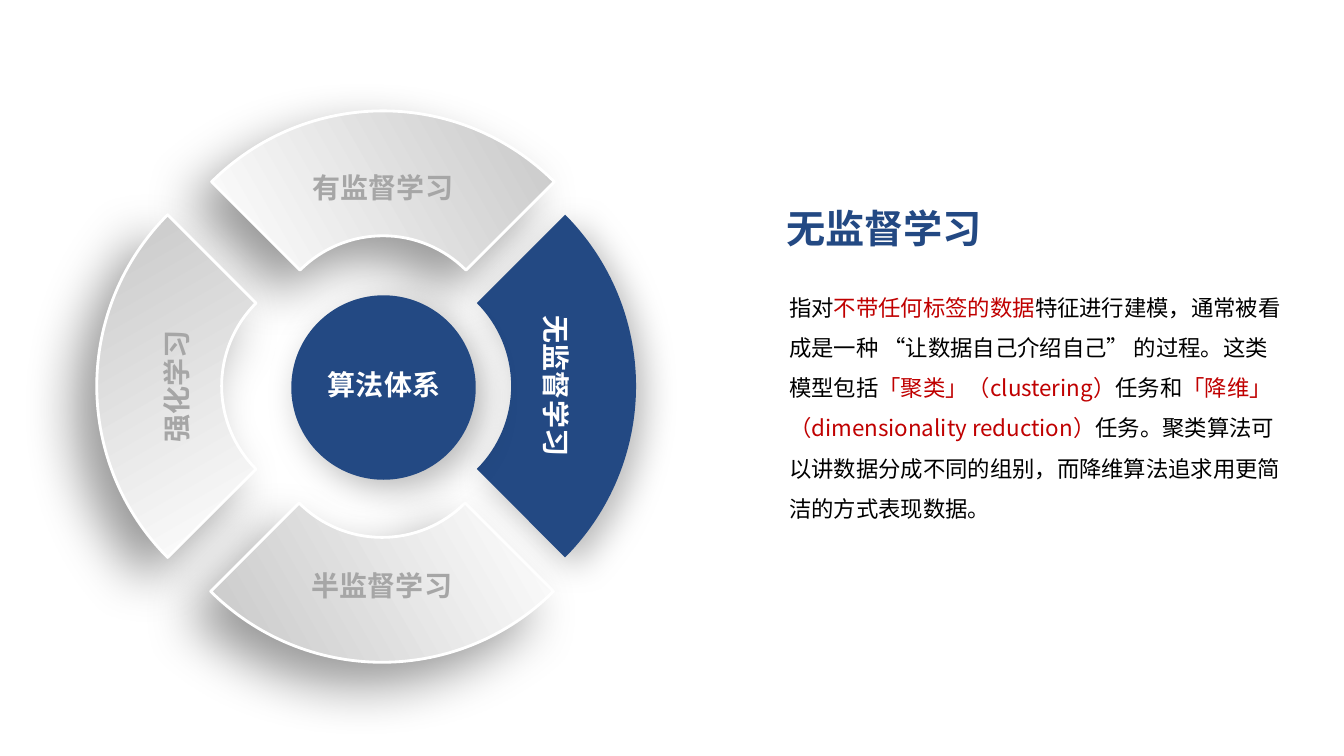
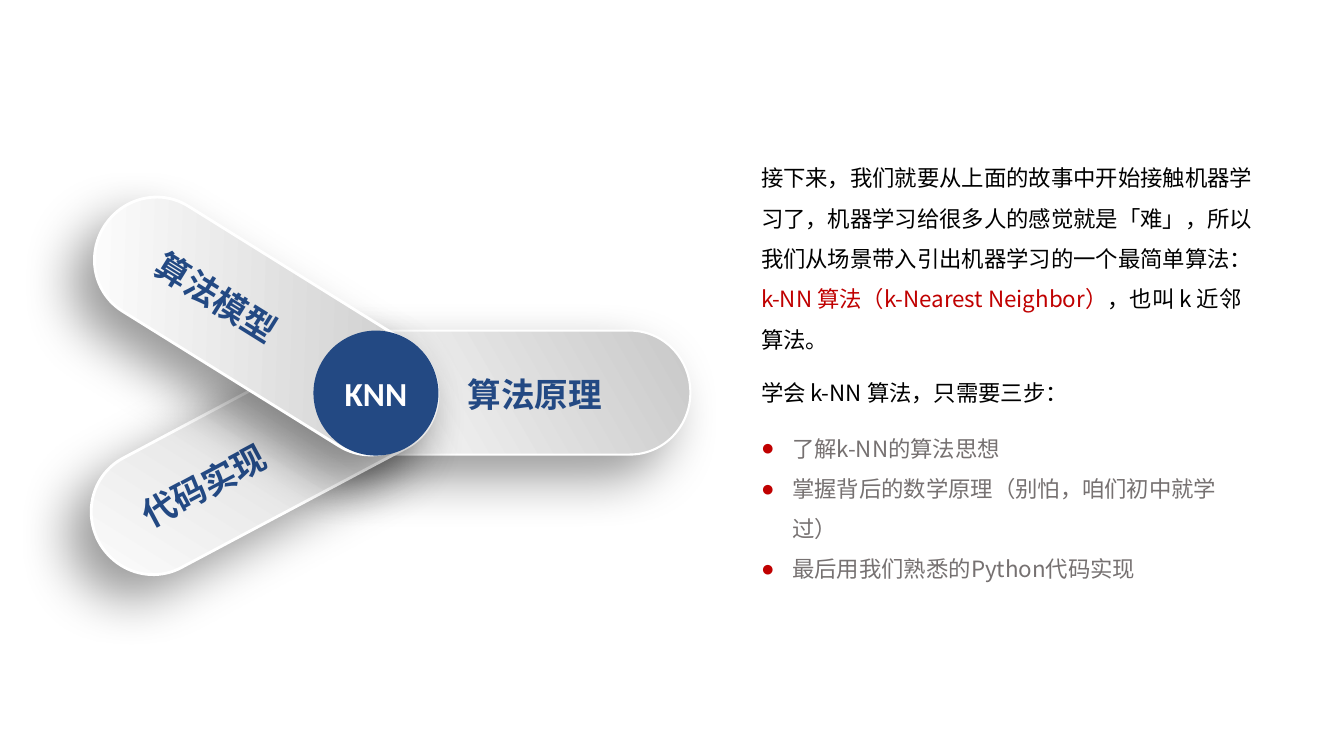
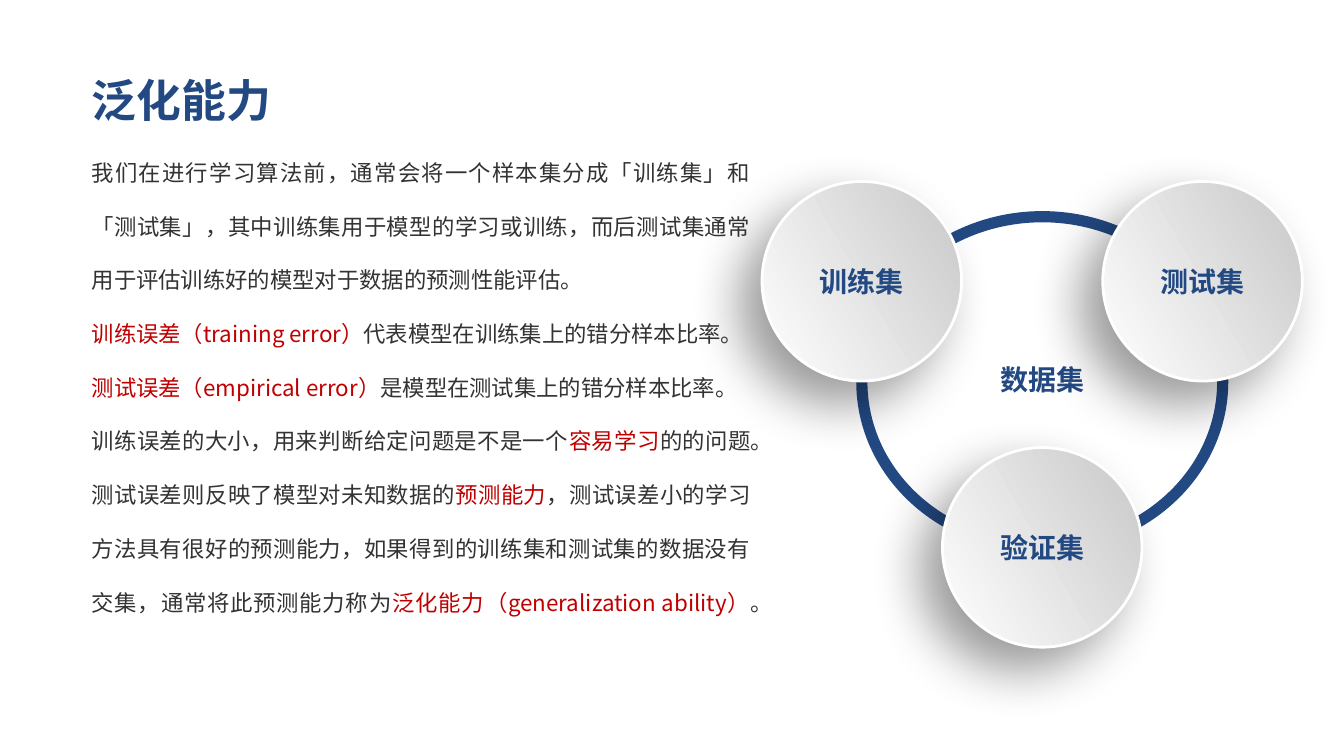
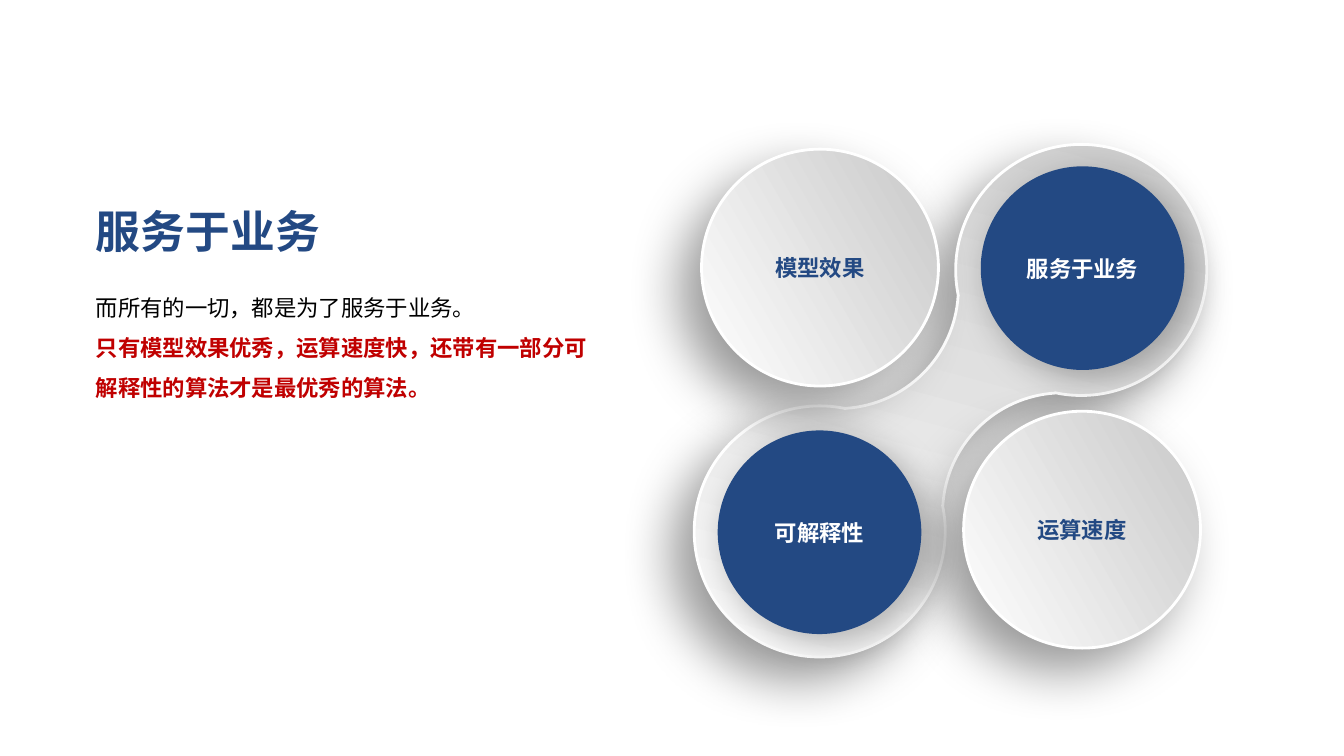
"""Build four slides on machine learning basics."""
import dataclasses
import math

import lxml.etree
import pptx
import pptx.dml.color
import pptx.enum.shapes
import pptx.enum.text
import pptx.oxml.ns
import pptx.util


@dataclasses.dataclass(frozen=True)
class Theme:
    cell: int = pptx.util.Inches(7.5) // 90
    blue: str = "234983"
    red: str = "C00000"
    black: str = "000000"
    ink: str = "333333"
    gray: str = "767171"
    dim: str = "A6A6A6"
    white: str = "FFFFFF"
    steel: str = "C8C8C8"
    font: str = "Noto Sans CJK SC"
    latin: str = "Calibri"
    head: int = 32
    sub: int = 28
    arm: int = 24
    label: int = 20
    body: int = 16
    far: tuple = (40, 38, 22, 135)
    near: tuple = (28, 25, 9, 45)


look = Theme()
qn = pptx.oxml.ns.qn
rgb = pptx.dml.color.RGBColor.from_string
align = pptx.enum.text.PP_ALIGN
anchor = pptx.enum.text.MSO_ANCHOR
kinds = pptx.enum.shapes.MSO_SHAPE
oval = kinds.OVAL


def write(shape, text, size=look.body, color=look.blue, bold=False, font=look.font,
          side=align.LEFT, rows=1.0, wrap=True, mid=False, pad=None, dot=None, loud=False):
    frame = shape.text_frame
    frame.auto_size = pptx.enum.text.MSO_AUTO_SIZE.NONE
    frame.word_wrap = wrap
    frame.vertical_anchor = anchor.MIDDLE if mid else anchor.TOP
    if pad is not None:
        frame.margin_left = round(pad * look.cell)
    for order, line in enumerate(text.split("\n")):
        para = frame.add_paragraph() if order else frame.paragraphs[0]
        props = para._p.get_or_add_pPr()
        inset = round(3.72 * look.cell) if dot else 0
        props.set("marL", str(inset))
        props.set("indent", str(-inset))
        if dot:
            tint = lxml.etree.SubElement(props, qn("a:buClr"))
            lxml.etree.SubElement(tint, qn("a:srgbClr"), val=look.red)
            lxml.etree.SubElement(props, qn("a:buChar"), char=dot)
        else:
            lxml.etree.SubElement(props, qn("a:buNone"))
        para.alignment = side
        para.line_spacing = rows
        para.space_before = pptx.util.Pt(0)
        for turn, part in enumerate(line.split("|")):
            if part:
                hot = turn % 2 == 1
                run = para.add_run()
                run.text = part
                run.font.size = pptx.util.Pt(size)
                run.font.bold = bold or (hot and loud)
                run.font.color.rgb = rgb(look.red if hot else color)
                run.font.name = font
                lxml.etree.SubElement(run._r.get_or_add_rPr(), qn("a:ea"), typeface=font)


def draw(page, kind, box, fill="pale", edge=None, shade=None, turn=0):
    left, top, width, height = [round(n * look.cell) for n in box]
    if isinstance(kind, list):
        dots = [dot for group in kind for dot in group]
        pen = page.shapes.build_freeform(*dots[0], scale=1.0)
        pen.add_line_segments(dots[1:], close=True)
        shape = pen.convert_to_shape()
        shape.left, shape.top, shape.width, shape.height = left, top, width, height
        lines = iter(shape._element.findall(".//" + qn("a:lnTo")))
        for group in kind[1:]:
            legs = [next(lines) for dot in group]
            if len(legs) == 3:
                curve = lxml.etree.Element(qn("a:cubicBezTo"))
                legs[0].addprevious(curve)
                for leg in legs:
                    curve.append(leg[0])
                    leg.getparent().remove(leg)
    else:
        shape = page.shapes.add_shape(kind, left, top, width, height)
    shape.rotation = turn
    shape.shadow.inherit = False
    if fill == "pale":
        shape.fill.gradient()
        shape.fill.gradient_angle = 30
        for stop, tone in zip(shape.fill.gradient_stops, (look.white, look.steel)):
            stop.color.rgb = rgb(tone)
        edge, shade = edge or (look.white, 2), look.far
    elif fill:
        shape.fill.solid()
        shape.fill.fore_color.rgb = rgb(fill)
    else:
        shape.fill.background()
    if edge:
        shape.line.color.rgb = rgb(edge[0])
        shape.line.width = pptx.util.Pt(edge[1])
    else:
        shape.line.fill.background()
    if shade:
        alpha, blur, dist, way = shade
        glow = lxml.etree.SubElement(
            shape._element.spPr.find(qn("a:effectLst")), qn("a:outerShdw"),
            blurRad=str(pptx.util.Pt(blur)), dist=str(pptx.util.Pt(dist)),
            dir=str(way * 60000), algn="ctr", rotWithShape="0")
        tint = lxml.etree.SubElement(glow, qn("a:srgbClr"), val=look.black)
        lxml.etree.SubElement(tint, qn("a:alpha"), val=str(alpha * 1000))
    return shape


deck = pptx.Presentation()
deck.slide_width = 160 * look.cell
deck.slide_height = 90 * look.cell

texts = [
    ("无监督学习", look.sub, (92.4, 23.76, 26.04, 6.84), (92.76, 32.76, 61.2, 30.24),
     "指对|不带任何标签的数据|特征进行建模，通常被看成是一种 “让数据自己介绍自己” 的过程。这类模型包括"
     "|「聚类」（clustering）|任务和|「降维」（dimensionality reduction）|任务。"
     "聚类算法可以讲数据分成不同的组别，而降维算法追求用更简洁的方式表现数据。",
     dict(color=look.black, rows=1.5)),
    (None, look.head, None, (89.4, 17.4, 61.2, 36.72),
     "接下来，我们就要从上面的故事中开始接触机器学习了，机器学习给很多人的感觉就是「难」，"
     "所以我们从场景带入引出机器学习的一个最简单算法：\n"
     "|k-NN 算法（k-Nearest Neighbor）|，也叫 k 近邻算法。\n"
     "学会 k-NN 算法，只需要三步：",
     dict(color=look.black, rows=1.5)),
    ("泛化能力", look.head, (9.72, 8.04, 24, 7.68), (9.72, 15.12, 80.88, 59.4),
     "我们在进行学习算法前，通常会将一个样本集分成「训练集」和「测试集」，"
     "其中训练集用于模型的学习或训练，而后测试集通常用于评估训练好的模型对于数据的预测性能评估。\n"
     "|训练误差（training error）|代表模型在训练集上的错分样本比率。\n"
     "|测试误差（empirical error）|是模型在测试集上的错分样本比率。\n"
     "训练误差的大小，用来判断给定问题是不是一个|容易学习|的的问题。"
     "测试误差则反映了模型对未知数据的|预测能力|，测试误差小的学习方法具有很好的预测能力，"
     "如果得到的训练集和测试集的数据没有交集，通常将此预测能力称为"
     "|泛化能力（generalization ability）|。",
     dict(color=look.ink, rows=2.0, side=align.JUSTIFY)),
    ("服务于业务", look.head, (10.2, 23.64, 29.4, 7.68), (10.2, 32.76, 61.2, 15.24),
     "而所有的一切，都是为了服务于业务。\n"
     "|只有模型效果优秀，运算速度快，还带有一部分可解释性的算法才是最优秀的算法。|",
     dict(color=look.black, rows=1.5, loud=True)),
]

pages = []
for title, size, top, box, text, form in texts:
    page = deck.slides.add_slide(deck.slide_layouts[1 if title else 3])
    pages.append(page)
    head, body = page.shapes.title, page.placeholders[1]
    spots = [(body, box)]
    if title:
        spots.append((head, top))
        write(head, title, size=size, bold=True, wrap=False)
    else:
        head._element.getparent().remove(head._element)
    write(body, text, **form)
    for hold, spot in spots:
        hold.left, hold.top, hold.width, hold.height = [round(n * look.cell) for n in spot]

arcs = {
    "fan": [(0, 0, 28.8, (225, 270, 315)), (0, 0, 13.95, (315, 270, 225))],
    "pair": [(22, 0, 14.94, (-147, -90, 0, 90, 147)), (0, 18.9, 14.3, (311.4, 270, 228.6)),
             (-22, 0, 14.94, (33, 90, 180, 270, 327)), (0, -18.9, 14.3, (131.4, 90, 48.6))],
}
forms = {}
for name, bends in arcs.items():
    forms[name] = []
    for x, y, r, turns in bends:
        rays = [math.radians(turn) for turn in turns]
        ends = [(x + r * math.cos(a), y + r * math.sin(a)) for a in rays]
        groups = [[ends[0]]]
        for a, b, p, q in zip(rays, rays[1:], ends, ends[1:]):
            k = r * 4 / 3 * math.tan((b - a) / 4)
            groups.append([(p[0] - k * math.sin(a), p[1] + k * math.cos(a)),
                           (q[0] + k * math.sin(b), q[1] - k * math.cos(b)), q])
        forms[name] += [[(round(u * look.cell), round(v * look.cell)) for u, v in group]
                        for group in groups]

wheel, knn, data, goal = pages
mark = dict(bold=True, side=align.CENTER, mid=True)

fans = [
    (25.2, 13.2, 0, None, None),
    (0.6, 36.48, 270, "强化学习", look.dim),
    (25.08, 59.88, 180, None, None),
    (45.84, 36.48, 90, "无监督学习", look.white),
]
for x, y, turn, text, color in fans:
    live = dict(fill=look.blue, shade=look.near) if color == look.white else {}
    fan = draw(wheel, forms["fan"], (x, y, 40.8, 18.96), turn=turn, **live)
    if text:
        write(fan, text, size=look.label, color=color, **mark)
draw(wheel, oval, (34.68, 35.16, 21.96, 21.96), look.blue, shade=look.near)

arms = [
    (37.44, 39.36, 0, None, 0, 1.5),
    (9.12, 46.56, 332, "代码实现", 4.1, 2),
    (9, 31.44, 31.9, "算法模型", 5.75, 2),
]
for x, y, turn, text, pad, width in arms:
    arm = draw(knn, kinds.FLOWCHART_TERMINATOR, (x, y, 44.76, 14.76),
               edge=(look.white, width), turn=turn)
    if text:
        write(arm, text, size=look.arm, bold=True, mid=True, pad=pad)
hub = draw(knn, oval, (37.32, 39.36, 14.88, 14.88), look.blue)
write(hub, "KNN", size=look.arm, color=look.white, font=look.latin, **mark)

notes = [
    (wheel, (36, 20.4, 19.2, 4.56), "有监督学习", look.label, look.dim, pptx.util.Pt(20)),
    (wheel, (37.8, 44.52, 15.84, 4.08), "算法体系", look.label, look.white, pptx.util.Pt(16)),
    (wheel, (35.88, 67.8, 19.2, 4.56), "半监督学习", look.label, look.dim, pptx.util.Pt(20)),
    (knn, (54.48, 43.92, 25.92, 6), "算法原理", look.arm, look.blue, 1.0),
]
for page, box, text, size, color, rows in notes:
    note = page.shapes.add_textbox(*[round(n * look.cell) for n in box])
    write(note, text, size=size, color=color, bold=True, rows=rows, wrap=page is knn,
          side=align.LEFT if page is knn else align.CENTER)

last = knn.placeholders[1].text_frame.paragraphs[-1]
last.line_spacing = 1.0
last.space_before = pptx.util.Pt(19)
steps = knn.placeholders[2]
steps.left, steps.top, steps.width, steps.height = [
    round(n * look.cell) for n in (89.4, 49.56, 61.2, 15.24)]
write(steps, "了解k-NN的算法思想\n掌握背后的数学原理（别怕，咱们初中就学过）\n最后用我们熟悉的Python代码实现",
      color=look.gray, rows=1.5, dot="●")

ring = draw(data, oval, (102.6, 25.8, 42.96, 39.36), None, edge=(look.blue, 8))
write(ring, "数据集", size=look.label, rows=pptx.util.Pt(20), **mark)
for x, y, text in [(131.28, 21.6, "测试集"), (112.2, 53.28, "验证集"), (90.72, 21.6, "训练集")]:
    write(draw(data, oval, (x, y, 23.76, 23.76)), text, size=look.label, **mark)

draw(goal, forms["pair"], (76.2, 32.76, 73.92, 29.88), turn=315)
for x, y, text in [(83.52, 17.76, "模型效果"), (114.72, 48.96, "运算速度")]:
    write(draw(goal, oval, (x, y, 28.2, 28.2)), text, **mark)
for x, y, text in [(116.76, 19.8, "服务于业务"), (85.44, 51.24, "可解释性")]:
    disc = draw(goal, oval, (x, y, 24.24, 24.24), look.blue, shade=look.near)
    write(disc, text, color=look.white, **mark)

for page in pages:
    for hold in list(page.placeholders):
        page.shapes._spTree.append(hold._element)

deck.save("out.pptx")
